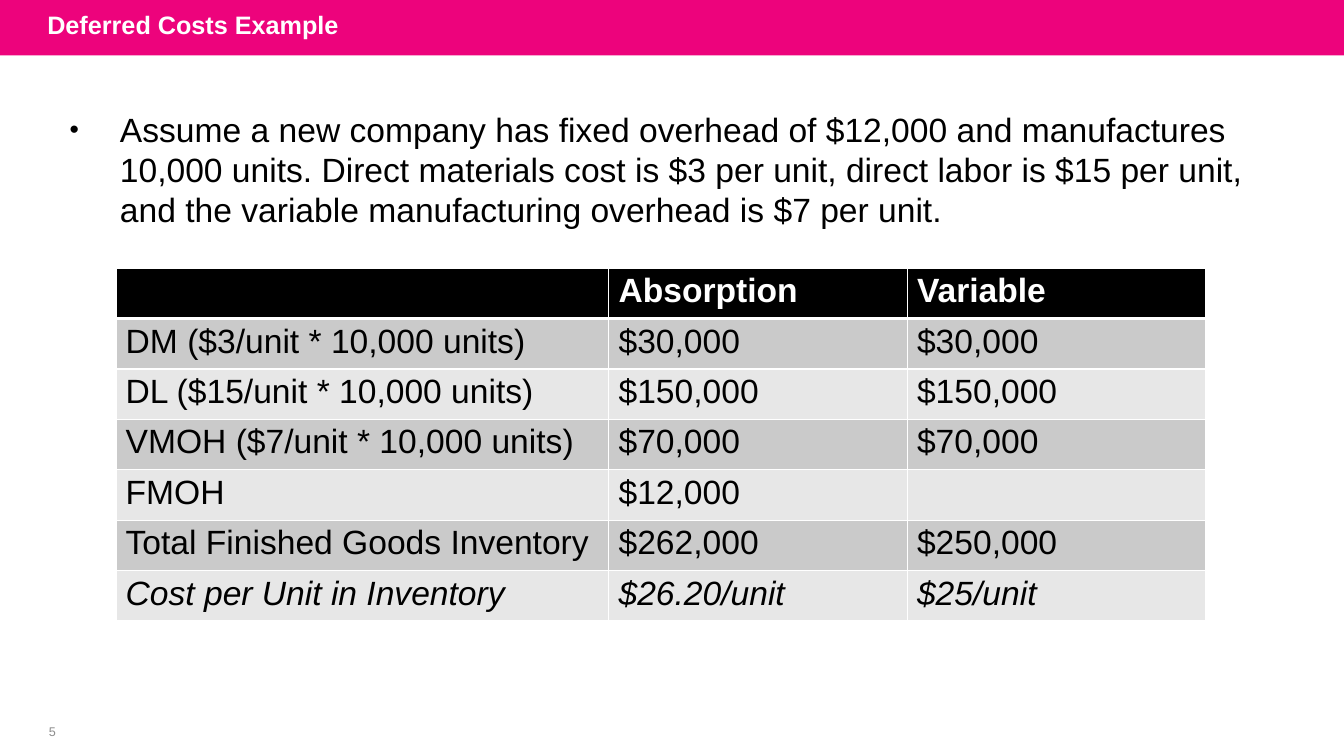
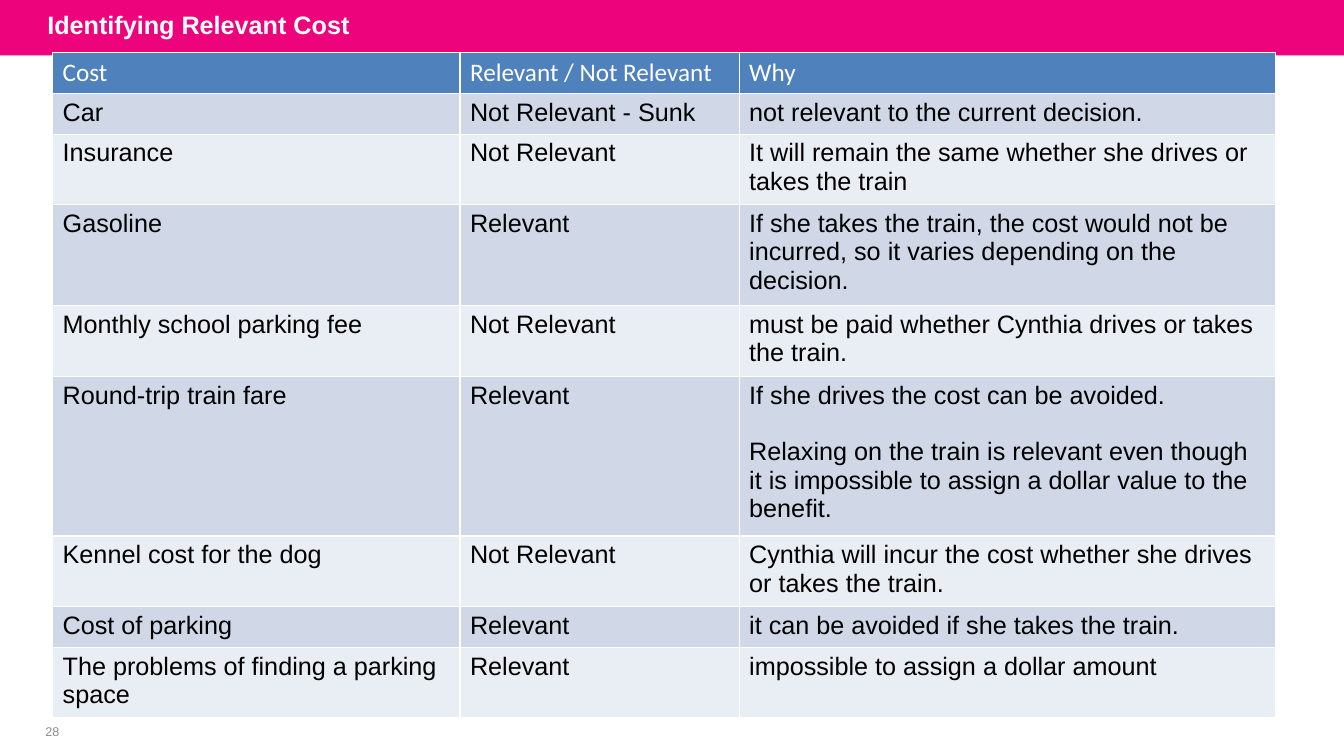
from lxml import etree
from pptx import Presentation
from pptx.dml.color import RGBColor
from pptx.enum import shapes as sh, text as tx
from pptx.oxml import ns
from pptx.util import Pt

COLORS = {
    "band": "ED037C", "white": "FFFFFF", "black": "000000", "number": "8C8C8C",
    "grey": "CACACA", "pale_grey": "E7E7E7",
    "blue": "4F81BD", "mist": "D0D8E8", "pale_mist": "E9EDF4",
}
SLIDE_W, SLIDE_H = 960, 540
BAND_BOX = (0, 0, SLIDE_W, 39.6)
TITLE_BOX = (26.6, -2.2, 756, 39.6)
NUMBER_BOX = (18.7, 514, 37.5, 17.3)
NO_MARGINS = {"margin_left": 0, "margin_right": 0, "margin_top": 0, "margin_bottom": 0}

COST_TABLE = {
    "box": (82.8, 191.5, 778.5, 252),
    "columns": (352.1, 213.2, 213.2),
    "heights": [36] * 7,
    "fills": ("black", "grey", "pale_grey"),
    "header_rule": 3,
    "header_font": {"name": "Arial", "size": Pt(24), "bold": True},
    "body_font": {"name": "Arial", "size": Pt(24), "bold": False},
    "margins": {"margin_left": Pt(7), "margin_right": 0,
                "margin_top": Pt(3), "margin_bottom": 0},
    "italic_rows": {6},
    "rows": [
        ("", "Absorption", "Variable"),
        ("DM ($3/unit * 10,000 units)", "$30,000", "$30,000"),
        ("DL ($15/unit * 10,000 units)", "$150,000", "$150,000"),
        ("VMOH ($7/unit * 10,000 units)", "$70,000", "$70,000"),
        ("FMOH", "$12,000", ""),
        ("Total Finished Goods Inventory", "$262,000", "$250,000"),
        ("Cost per Unit in Inventory", "$26.20/unit", "$25/unit"),
    ],
}
RELEVANCE_LINES = (1, 1, 2, 3, 2, 5, 2, 1, 2)
RELEVANCE_TABLE = {
    "box": (37.6, 37.4, 873.4, 453),
    "columns": (291, 199.4, 383),
    "heights": [max(29.2, 7.2 + 20 * lines) for lines in RELEVANCE_LINES],
    "fills": ("blue", "mist", "pale_mist"),
    "header_rule": 1,
    "header_font": {"name": "Calibri", "size": Pt(18), "bold": False},
    "body_font": {"name": "Arial", "size": Pt(18), "bold": False},
    "margins": {},
    "italic_rows": set(),
    "rows": [
        ("Cost", "Relevant / Not Relevant", "Why"),
        ("Car", "Not Relevant - Sunk", "not relevant to the current decision."),
        ("Insurance", "Not Relevant",
         "It will remain the same whether she drives or takes the train"),
        ("Gasoline", "Relevant",
         "If she takes the train, the cost would not be incurred, "
         "so it varies depending on the decision."),
        ("Monthly school parking fee", "Not Relevant",
         "must be paid whether Cynthia drives or takes the train."),
        ("Round-trip train fare", "Relevant",
         "If she drives the cost can be avoided.\n"
         "Relaxing on the train is relevant even though it is impossible "
         "to assign a dollar value to the benefit."),
        ("Kennel cost for the dog", "Not Relevant",
         "Cynthia will incur the cost whether she drives or takes the train."),
        ("Cost of parking", "Relevant", "it can be avoided if she takes the train."),
        ("The problems of finding a parking space", "Relevant",
         "impossible to assign a dollar amount"),
    ],
}


def rgb(color):
    return RGBColor.from_string(COLORS[color])


def points(box):
    return [Pt(length) for length in box]


def apply(target, values):
    for name, value in values.items():
        setattr(target, name, value)


def write(frame, words, font, color, paragraph_format=None):
    frame.text = words
    for paragraph in frame.paragraphs:
        apply(paragraph, paragraph_format or {})
        for run in paragraph.runs:
            apply(run.font, font)
            run.font.color.rgb = rgb(color)


def add_text(slide, box, words, font, color, frame_format, paragraph_format):
    frame = slide.shapes.add_textbox(*points(box)).text_frame
    apply(frame, {"word_wrap": True, **NO_MARGINS, **frame_format})
    write(frame, words, font, color, paragraph_format)
    return frame


def add_frame(deck, heading, number):
    slide = deck.slides.add_slide(deck.slide_layouts[5])
    title = slide.shapes.title
    band = slide.shapes.add_shape(sh.MSO_SHAPE.RECTANGLE, *points(BAND_BOX))
    band.shadow.inherit = False
    band.fill.solid()
    band.fill.fore_color.rgb = rgb("band")
    band.line.fill.background()
    title.element.addprevious(band.element)
    apply(title, dict(zip(("left", "top", "width", "height"), points(TITLE_BOX))))
    apply(title.text_frame, {"word_wrap": True, "auto_size": tx.MSO_AUTO_SIZE.NONE,
                             "vertical_anchor": tx.MSO_ANCHOR.MIDDLE})
    write(title.text_frame, heading, {"name": "Arial", "size": Pt(18), "bold": True},
          "white", {"alignment": tx.PP_ALIGN.LEFT})
    add_text(slide, NUMBER_BOX, str(number), {"name": "Arial", "size": Pt(9)}, "number",
             {"vertical_anchor": tx.MSO_ANCHOR.MIDDLE}, {"alignment": tx.PP_ALIGN.CENTER})
    return slide


def add_assumption(slide, box, words):
    frame = add_text(slide, box, words, {"name": "Arial", "size": Pt(24)}, "black", {},
                     {"alignment": tx.PP_ALIGN.LEFT, "line_spacing": Pt(28.6)})
    properties = frame.paragraphs[0]._p.get_or_add_pPr()
    properties.set("marL", str(Pt(36.7)))
    properties.set("indent", str(-Pt(36)))
    for tag, name, value in (("a:buSzPct", "val", "79000"),
                             ("a:buFont", "typeface", "Arial"),
                             ("a:buChar", "char", "•")):
        etree.SubElement(properties, ns.qn(tag)).set(name, value)


def set_borders(cell, widths):
    properties = cell._tc.get_or_add_tcPr()
    for side, width in widths.items():
        border = etree.SubElement(properties, ns.qn("a:ln" + side), w=str(Pt(width)))
        fill = etree.SubElement(border, ns.qn("a:solidFill"))
        etree.SubElement(fill, ns.qn("a:srgbClr"), val=COLORS["white"])


def add_cost_table(slide, content):
    rows, columns = content["rows"], content["columns"]
    table = slide.shapes.add_table(len(rows), len(columns), *points(content["box"])).table
    table.horz_banding = False
    for column, width in zip(table.columns, columns):
        column.width = Pt(width)
    header_fill, *band_fills = content["fills"]
    for r, entries in enumerate(rows):
        table.rows[r].height = Pt(content["heights"][r])
        header = r == 0
        font = content["header_font" if header else "body_font"]
        font = {**font, "italic": r in content["italic_rows"]}
        borders = {"L": 1, "R": 1,
                   "T": content["header_rule"] if r == 1 else 1,
                   "B": content["header_rule"] if header else 1}
        for c, entry in enumerate(entries):
            cell = table.cell(r, c)
            apply(cell, content["margins"])
            set_borders(cell, borders)
            cell.fill.solid()
            cell.fill.fore_color.rgb = rgb(header_fill if header else band_fills[(r - 1) % 2])
            write(cell.text_frame, entry, font, "white" if header else "black")
            for later in cell.text_frame.paragraphs[1:]:
                later.space_before = Pt(20.5)


def main():
    deck = Presentation()
    apply(deck, {"slide_width": Pt(SLIDE_W), "slide_height": Pt(SLIDE_H)})

    deferred = add_frame(deck, "Deferred Costs Example", 5)
    add_assumption(deferred, (49, 78, 845, 88.6),
                   "Assume a new company has fixed overhead of $12,000 and manufactures "
                   "10,000 units. Direct materials cost is $3 per unit, direct labor is "
                   "$15 per unit, and the variable manufacturing overhead is $7 per unit.")
    add_cost_table(deferred, COST_TABLE)

    relevant = add_frame(deck, "Identifying Relevant Cost", 28)
    add_cost_table(relevant, RELEVANCE_TABLE)

    deck.save("out.pptx")


if __name__ == "__main__":
    main()
